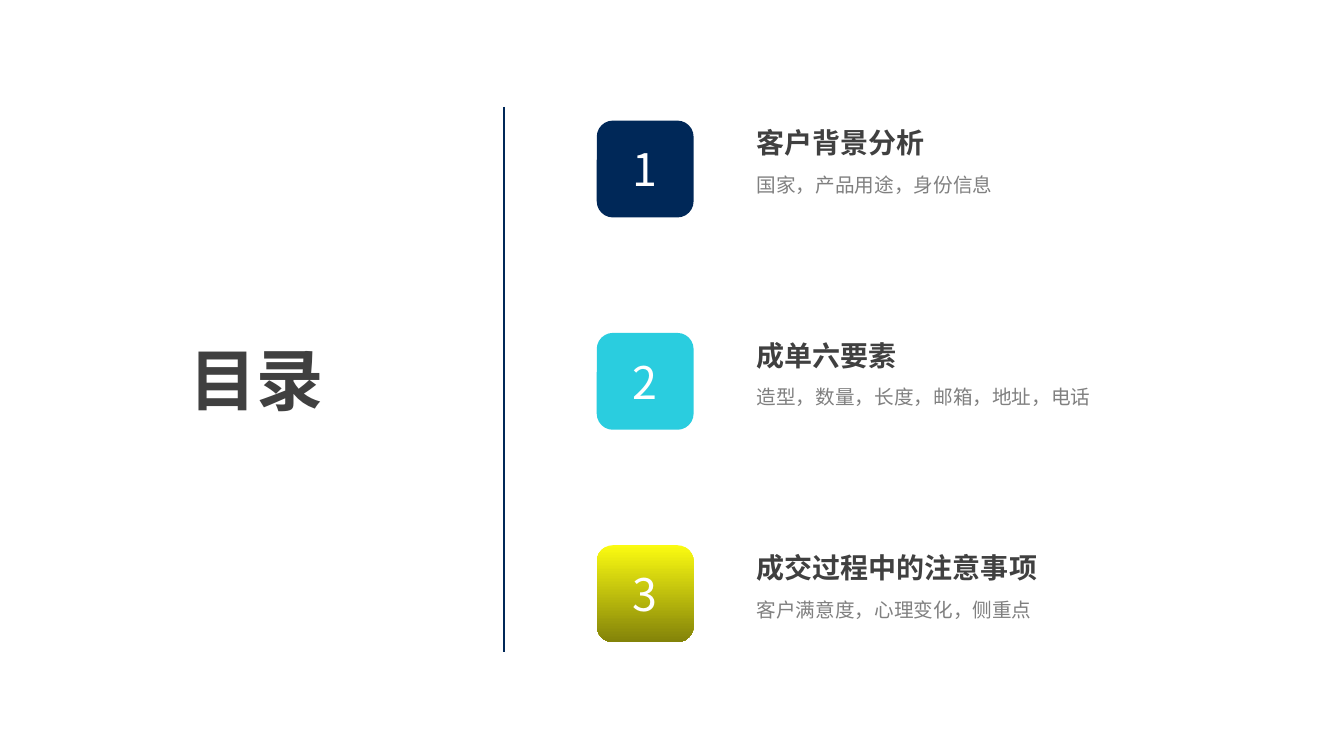
"""Build the contents slide: a title, a divider and three numbered topics."""
from dataclasses import dataclass

from lxml.etree import SubElement
from pptx import Presentation
from pptx.dml.color import RGBColor as RGB
from pptx.enum.shapes import MSO_CONNECTOR as CONN, MSO_SHAPE as SHAPE
from pptx.enum.text import MSO_ANCHOR as ANCHOR, PP_ALIGN as ALIGN
from pptx.oxml.ns import qn
from pptx.slide import Slide
from pptx.text.text import TextFrame
from pptx.util import Cm, Pt


@dataclass(frozen=True)
class Theme:
    font: str = "Noto Sans CJK SC"
    navy: str = "002858"
    cyan: str = "2ACDDF"
    yellow: str = "FBFB11"
    olive: str = "838309"
    dark: str = "404040"
    grey: str = "808080"
    white: str = "FFFFFF"
    title_size: int = 48
    number_size: int = 32
    heading_size: int = 20
    detail_size: int = 14


@dataclass(frozen=True)
class Topic:
    heading: str
    detail: str
    fill: tuple[str, ...]


THEME = Theme()
TOPICS = (
    Topic("客户背景分析", "国家，产品用途，身份信息", (THEME.navy,)),
    Topic("成单六要素", "造型，数量，长度，邮箱，地址，电话", (THEME.cyan,)),
    Topic("成交过程中的注意事项", "客户满意度，心理变化，侧重点", (THEME.yellow, THEME.olive)),
)
PITCH = 5.35
TILE_LEFT, TILE_TOP, TILE_SIZE = 15.04, 3.04, 2.44
TEXT_LEFT, TEXT_WIDTH = 18.82, 11.66
HEADING_TOP, HEADING_HEIGHT = 3.0, 1.02
DETAIL_TOP, DETAIL_HEIGHT = 4.17, 1.93


def write(tf: TextFrame, text: str, size: int, color: str, bold: bool = False,
          align: ALIGN = ALIGN.LEFT, anchor: ANCHOR = ANCHOR.TOP, inset: float = 0.13) -> None:
    tf.text = text
    tf.word_wrap = True
    tf.vertical_anchor = anchor
    tf.margin_top = tf.margin_bottom = Cm(inset)
    p = tf.paragraphs[0]
    p.alignment = align
    r = p.runs[0]
    r.font.name = THEME.font
    r.font.size = Pt(size)
    r.font.bold = bold
    r.font.color.rgb = RGB.from_string(color)
    SubElement(r.font._element, qn("a:ea"), typeface=THEME.font)


def add_title(slide: Slide, text: str) -> None:
    sp = slide.shapes.title
    sp.left, sp.top, sp.width, sp.height = Cm(1.6), Cm(8.38), Cm(9.75), Cm(2.31)
    write(sp.text_frame, text, THEME.title_size, THEME.dark, True, ALIGN.CENTER, ANCHOR.MIDDLE, 0)


def add_divider(slide: Slide) -> None:
    line = slide.shapes.add_connector(CONN.STRAIGHT, Cm(12.7), Cm(2.69), Cm(12.7), Cm(16.43))
    line.line.color.rgb = RGB.from_string(THEME.navy)
    line.line.width = Pt(1.25)
    SubElement(line._element.spPr, qn("a:effectLst"))


def add_tile(slide: Slide, number: int, top: float, colors: tuple[str, ...]) -> None:
    sp = slide.shapes.add_shape(
        SHAPE.ROUNDED_RECTANGLE, Cm(TILE_LEFT), Cm(top), Cm(TILE_SIZE), Cm(TILE_SIZE))
    sp.shadow.inherit = False
    sp.line.fill.background()
    if len(colors) == 1:
        sp.fill.solid()
        sp.fill.fore_color.rgb = RGB.from_string(colors[0])
    else:
        sp.fill.gradient()
        sp.fill.gradient_angle = 270
        for stop, color in zip(sp.fill.gradient_stops, colors):
            stop.color.rgb = RGB.from_string(color)
    write(sp.text_frame, str(number), THEME.number_size, THEME.white,
          align=ALIGN.CENTER, anchor=ANCHOR.MIDDLE)


def add_box(slide: Slide, top: float, height: float) -> TextFrame:
    sp = slide.shapes.add_textbox(Cm(TEXT_LEFT), Cm(top), Cm(TEXT_WIDTH), Cm(height))
    return sp.text_frame


def add_topic(slide: Slide, index: int, topic: Topic) -> None:
    shift = index * PITCH
    add_tile(slide, index + 1, TILE_TOP + shift, topic.fill)
    heading = add_box(slide, HEADING_TOP + shift, HEADING_HEIGHT)
    write(heading, topic.heading, THEME.heading_size, THEME.dark, True,
          anchor=ANCHOR.BOTTOM, inset=0)
    detail = add_box(slide, DETAIL_TOP + shift, DETAIL_HEIGHT)
    write(detail, topic.detail, THEME.detail_size, THEME.grey)
    detail.paragraphs[0].line_spacing = 1.1


def main() -> None:
    prs = Presentation()
    prs.slide_width, prs.slide_height = Cm(33.87), Cm(19.05)
    slide = prs.slides.add_slide(prs.slide_layouts.get_by_name("Title Only"))
    add_divider(slide)
    add_title(slide, "目录")
    for index, topic in enumerate(TOPICS):
        add_topic(slide, index, topic)
    prs.save("out.pptx")


if __name__ == "__main__":
    main()
